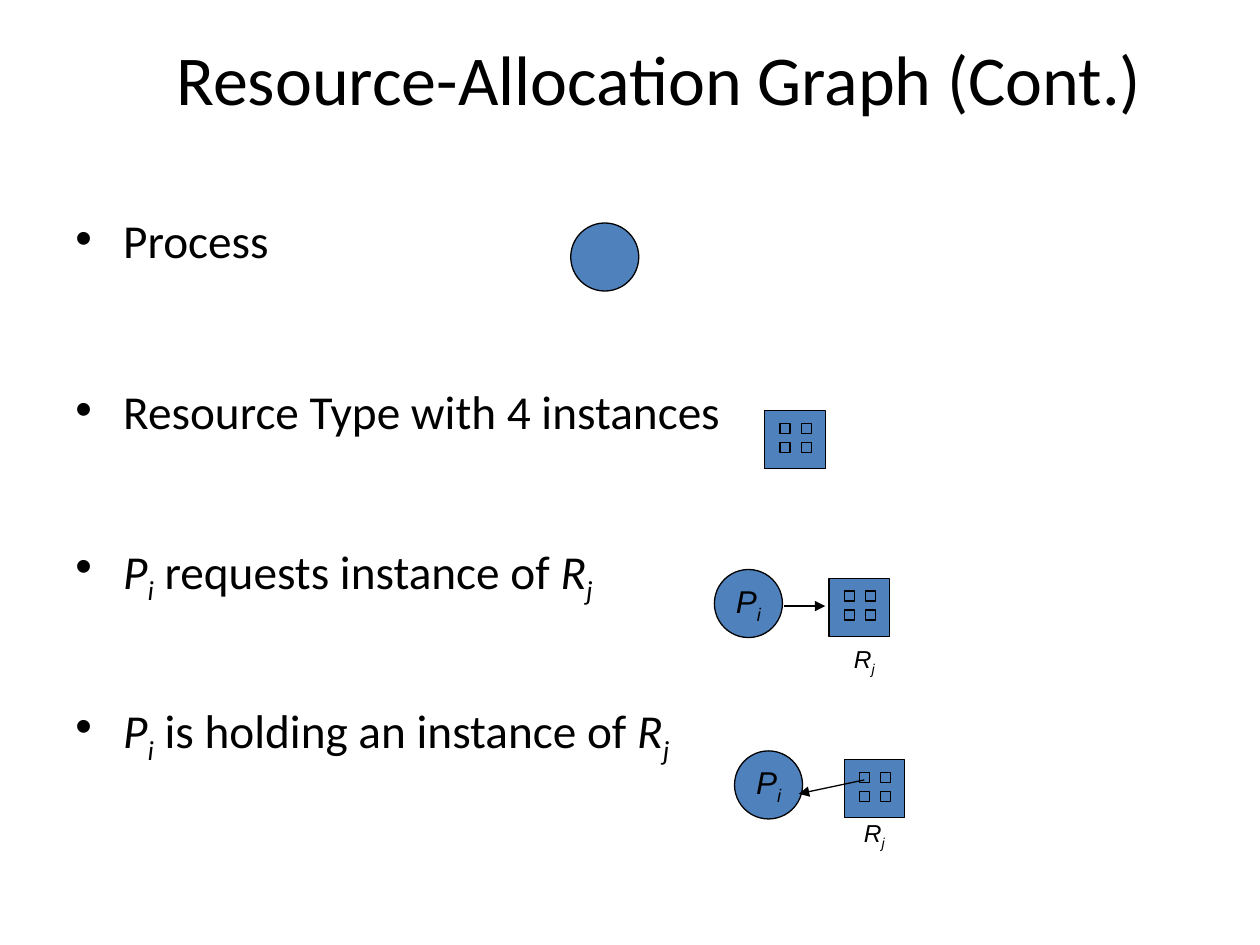
from lxml import etree
from pptx import Presentation
from pptx.dml.color import RGBColor
from pptx.enum import shapes, text
from pptx.oxml import ns
from pptx.util import Inches, Pt

COLORS = {"ink": "000000", "node": "4F81BD"}
P_I = [("P", "italic"), ("i", "sub")]
R_J = [("R", "italic"), ("j", "sub")]
# Runs of each bullet and the points of space before it
BULLETS = [
    ([("Process", "plain")], 0),
    ([("Resource Type with 4 instances", "plain")], 75),
    (P_I + [(" requests instance of ", "plain")] + R_J, 66),
    (P_I + [(" is holding an instance of ", "plain")] + R_J, 65.5),
]


def rgb(name):
    return RGBColor.from_string(COLORS[name])


def box_of(*lengths):
    return [Inches(v) for v in lengths]


def add_runs(p, runs, size, font):
    for words, style in runs:
        r = p.add_run()
        r.text = words
        values = {"name": font, "size": Pt(size), "italic": style != "plain"}
        for key, value in values.items():
            setattr(r.font, key, value)
        r.font.color.rgb = rgb("ink")
        if style == "sub":
            r._r.get_or_add_rPr().set("baseline", "-25000")


def add_symbol(tf, runs, size):
    values = {"word_wrap": False, "vertical_anchor": text.MSO_ANCHOR.MIDDLE,
              "margin_left": 0, "margin_right": 0}
    for key, value in values.items():
        setattr(tf, key, value)
    p = tf.paragraphs[0]
    p.alignment = text.PP_ALIGN.CENTER
    add_runs(p, runs, size, "Arial")


def add_node(parent, kind, x, y, w, h):
    sp = parent.add_shape(kind, *box_of(x, y, w, h))
    sp.shadow.inherit = False
    sp.fill.solid()
    sp.fill.fore_color.rgb = rgb("node")
    sp.line.color.rgb = rgb("ink")
    sp.line.width = Pt(0.75)
    return sp


def add_title(s, x, y, w, h):
    sp = s.shapes.title
    sp.left, sp.top, sp.width, sp.height = box_of(x, y, w, h)
    tf = sp.text_frame
    tf.vertical_anchor = text.MSO_ANCHOR.MIDDLE
    p = tf.paragraphs[0]
    p.alignment = text.PP_ALIGN.CENTER
    add_runs(p, [("Resource-Allocation Graph (Cont.)", "plain")], 40, "Calibri")


def add_bullets(s, x, y, w, h):
    tf = s.shapes.add_textbox(*box_of(x, y, w, h)).text_frame
    tf.word_wrap = True
    for i, (runs, gap) in enumerate(BULLETS):
        p = tf.add_paragraph() if i else tf.paragraphs[0]
        p.line_spacing = 0.7
        p.space_before = Pt(gap)
        pPr = p._p.get_or_add_pPr()
        pPr.set("marL", str(Inches(0.38)))
        pPr.set("indent", str(-Inches(0.38)))
        etree.SubElement(pPr, ns.qn("a:buFont"), typeface="Arial")
        etree.SubElement(pPr, ns.qn("a:buChar"), char="•")
        add_runs(p, runs, 27, "Calibri")


def add_process(s, x, y, runs=()):
    sp = add_node(s.shapes, shapes.MSO_SHAPE.OVAL, x, y, 0.54, 0.54)
    if runs:
        add_symbol(sp.text_frame, runs, 18)


def add_resource(s, x, y):
    """A resource type with a two by two grid of instances."""
    group = s.shapes.add_group_shape().shapes
    square = shapes.MSO_SHAPE.RECTANGLE
    add_node(group, square, x, y, 0.48, 0.46)
    for row in range(2):
        for col in range(2):
            add_node(group, square, x + 0.12 + 0.17 * col,
                     y + 0.1 + 0.15 * row, 0.08, 0.08)


def add_label(s, x, y):
    sp = s.shapes.add_textbox(*box_of(x, y, 0.36, 0.37))
    add_symbol(sp.text_frame, R_J, 14)


def add_arrow(s, x1, y1, x2, y2):
    cx = s.shapes.add_connector(shapes.MSO_CONNECTOR.STRAIGHT,
                                *box_of(x1, y1, x2, y2))
    cx.line.color.rgb = rgb("ink")
    cx.line.width = Pt(0.75)
    etree.SubElement(cx.line._get_or_add_ln(), ns.qn("a:tailEnd"), type="triangle")
    etree.SubElement(cx._element.spPr, ns.qn("a:effectLst"))


def add_request(s, x, y):
    add_process(s, x, y, P_I)
    add_resource(s, x + 0.91, y + 0.07)
    add_arrow(s, x + 0.55, y + 0.29, x + 0.88, y + 0.29)
    add_label(s, x + 1.01, y + 0.54)


def add_holding(s, x, y):
    add_process(s, x, y, P_I)
    add_resource(s, x + 0.87, y + 0.07)
    add_arrow(s, x + 1.03, y + 0.23, x + 0.51, y + 0.34)
    add_label(s, x + 0.93, y + 0.48)


def main():
    prs = Presentation()
    prs.slide_width, prs.slide_height = Inches(10), Inches(7.5)
    s = prs.slides.add_slide(prs.slide_layouts[5])
    # Wording
    add_title(s, 0.96, 0.3, 8.54, 0.63)
    add_bullets(s, 0.5, 1.75, 9, 4.95)
    # Graph symbols beside the bullets
    add_process(s, 4.53, 1.77)
    add_resource(s, 6.07, 3.26)
    add_request(s, 5.67, 4.52)
    add_holding(s, 5.83, 5.96)
    prs.save("out.pptx")


if __name__ == "__main__":
    main()
